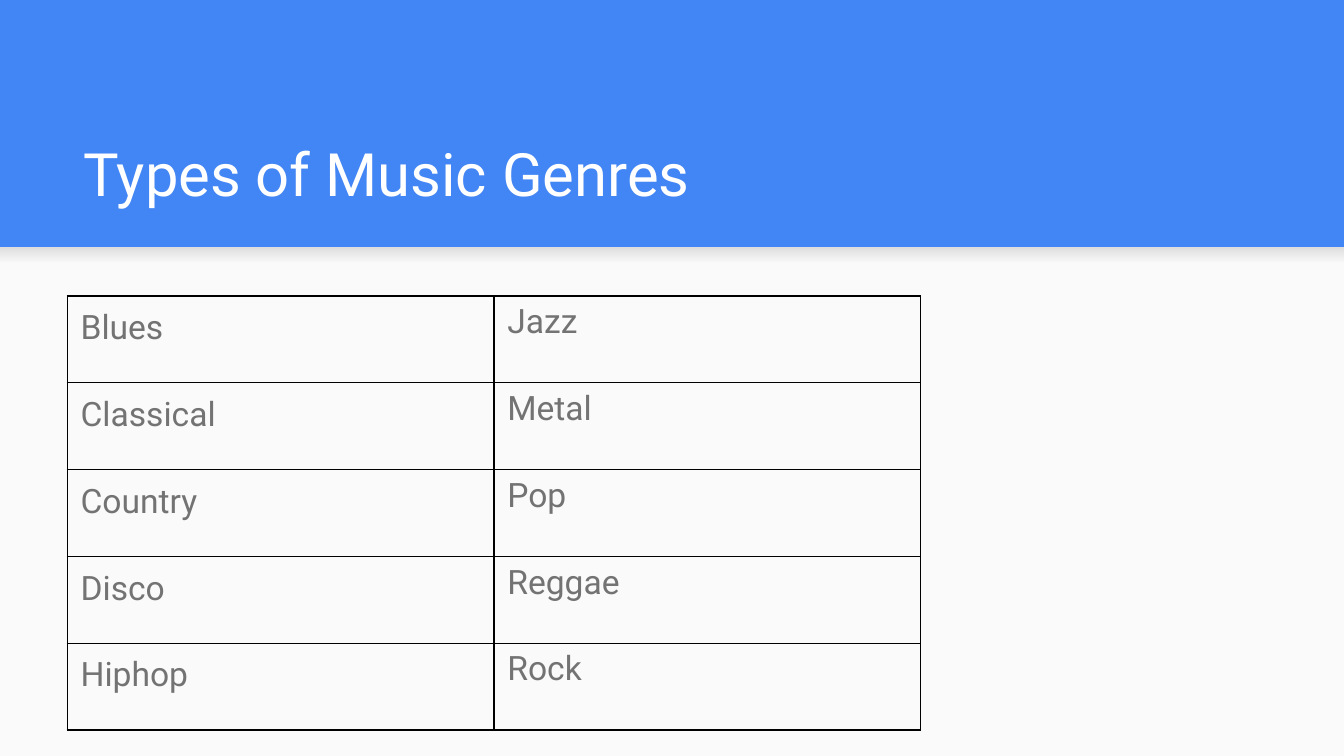
import pptx
import pptx.util
import pptx.dml.color
import pptx.enum.shapes
import pptx.enum.text
import pptx.oxml
import pptx.oxml.ns

Pt = pptx.util.Pt
WIDTH, HEIGHT = 720, 405
BAND_BOTTOM = 132.5
GENRES = [
    ("Blues", "Jazz"),
    ("Classical", "Metal"),
    ("Country", "Pop"),
    ("Disco", "Reggae"),
    ("Hiphop", "Rock"),
]


def rgb(value):
    """Turn a hex string into a colour."""
    return pptx.dml.color.RGBColor.from_string(value)


class Deck:
    """Holds the style and the current slide."""

    font = "Roboto"
    blue, paper, white = "4285F4", "FAFAFA", "FFFFFF"
    grey, black = "737373", "000000"

    def __init__(self, prs):
        """Start a title-only slide on a blue background."""
        self.s = prs.slides.add_slide(prs.slide_layouts[5])
        fill = self.s.background.fill
        fill.solid()
        fill.fore_color.rgb = rgb(self.blue)

    def run(self, p, text, size, color):
        """Add one styled run to a paragraph."""
        r = p.add_run()
        r.text = text
        r.font.name = self.font
        r.font.size = Pt(size)
        r.font.color.rgb = rgb(color)

    def rect(self, x, y, w, h, *colors):
        """Draw a rectangle, solid or with a gradient from bottom to top."""
        sp = self.s.shapes.add_shape(
            pptx.enum.shapes.MSO_SHAPE.RECTANGLE, Pt(x), Pt(y), Pt(w), Pt(h))
        sp.shadow.inherit = False
        sp.line.fill.background()
        if len(colors) == 1:
            sp.fill.solid()
            sp.fill.fore_color.rgb = rgb(colors[0])
        else:
            sp.fill.gradient()
            sp.fill.gradient_angle = 90
            for stop, color in zip(sp.fill.gradient_stops, colors):
                stop.color.rgb = rgb(color)
        return sp

    def title(self, text, x, y, w, h):
        """Place and fill the title, and bring it to the front."""
        sp = self.s.shapes.title
        sp.left, sp.top, sp.width, sp.height = Pt(x), Pt(y), Pt(w), Pt(h)
        tf = sp.text_frame
        tf.word_wrap = True
        tf.auto_size = pptx.enum.text.MSO_AUTO_SIZE.NONE
        tf.vertical_anchor = pptx.enum.text.MSO_ANCHOR.BOTTOM
        tf.margin_left = tf.margin_right = Pt(7.2)
        tf.margin_top = tf.margin_bottom = Pt(7.2)
        p = tf.paragraphs[0]
        p.alignment = pptx.enum.text.PP_ALIGN.LEFT
        self.run(p, text, 32, self.white)
        self.s.shapes._spTree.append(sp._element)

    def borders(self, cell, width):
        """Give a cell a black line on all four sides."""
        tcPr = cell._tc.get_or_add_tcPr()
        for i, side in enumerate(("lnL", "lnR", "lnT", "lnB")):
            tcPr.insert(i, pptx.oxml.parse_xml(
                f'<a:{side} {pptx.oxml.ns.nsdecls("a")} w="{Pt(width)}">'
                f'<a:solidFill><a:srgbClr val="{self.black}"/></a:solidFill>'
                f'</a:{side}>'))

    def table(self, rows, x, y, w, h, spacings):
        """Draw an unfilled ruled table with a line spacing per column."""
        frame = self.s.shapes.add_table(
            len(rows), len(spacings), Pt(x), Pt(y), Pt(w), Pt(h))
        table = frame.table
        table.first_row = table.horz_banding = False
        for i, row in enumerate(rows):
            for j, text in enumerate(row):
                cell = table.cell(i, j)
                cell.fill.background()
                self.borders(cell, 0.75)
                p = cell.text_frame.paragraphs[0]
                p.line_spacing = spacings[j]
                self.run(p, text, 18, self.grey)


def main():
    """Build the slide and save it."""
    prs = pptx.Presentation()
    prs.slide_width, prs.slide_height = Pt(WIDTH), Pt(HEIGHT)
    deck = Deck(prs)
    deck.rect(0, BAND_BOTTOM, WIDTH, HEIGHT - BAND_BOTTOM, deck.paper)
    deck.rect(0, BAND_BOTTOM, WIDTH, 8.6, "F9F9F9", "DEDEDE")
    deck.title("Types of Music Genres", 37.4, 58.3, 647.3, 60.5)
    deck.table(GENRES, 36, 158.6, 457.2, 232.5, (1.15, 1.0))
    prs.save("out.pptx")


main()
